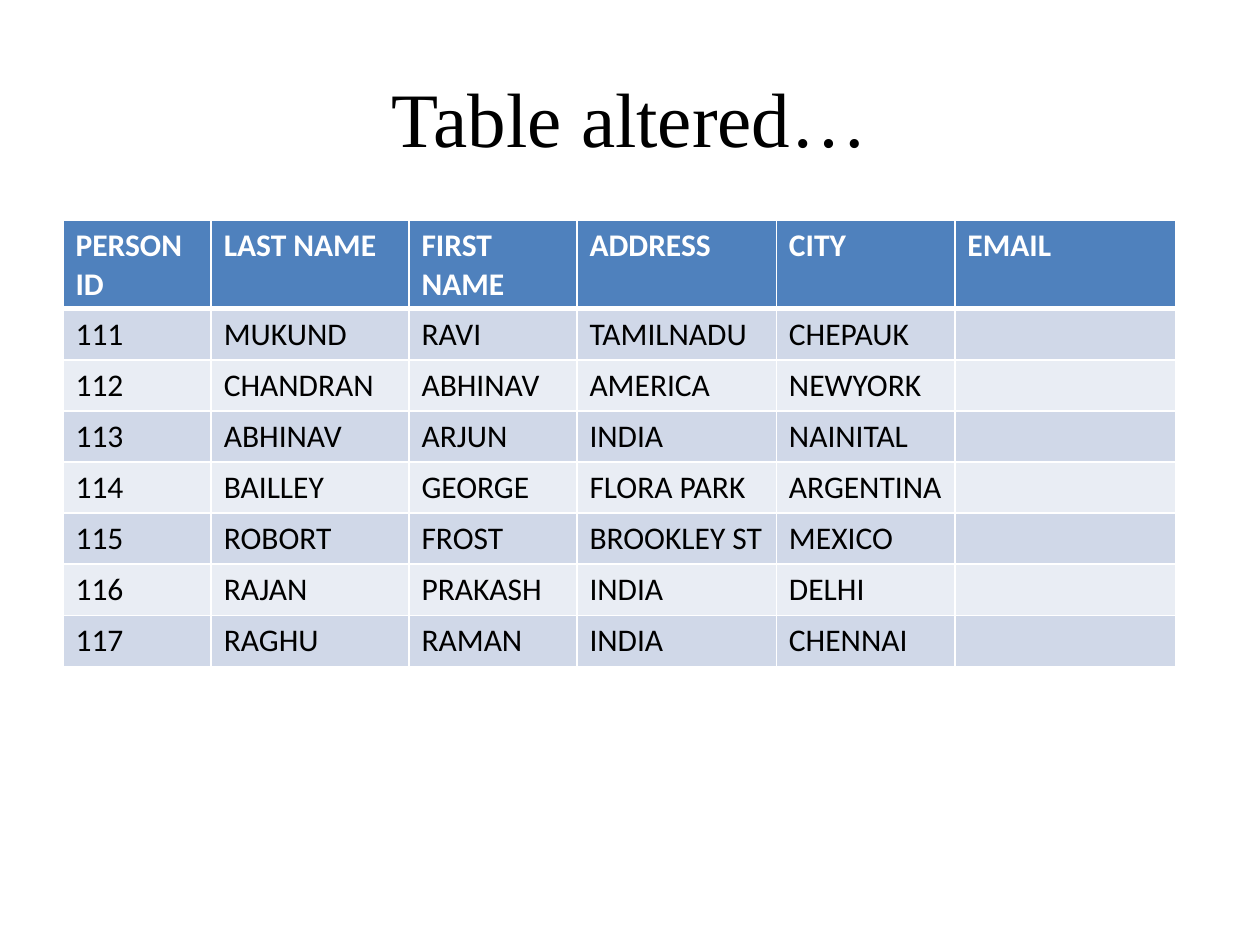
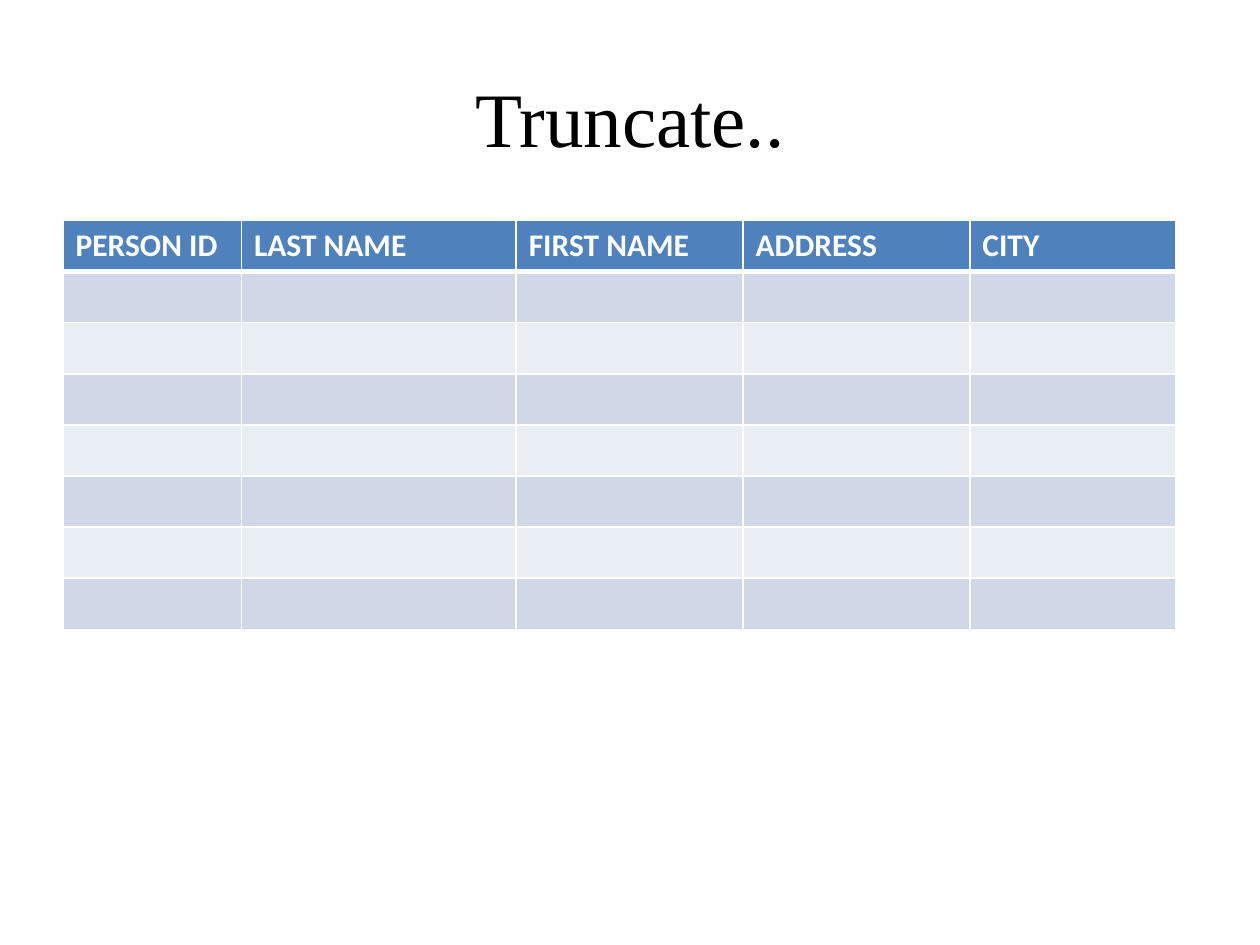
from dataclasses import dataclass

from lxml import etree
from pptx import Presentation
from pptx.dml.color import RGBColor
from pptx.enum import text
from pptx.oxml import ns
from pptx.util import Pt


@dataclass(frozen=True)
class Theme:
    ink: str = "000000"
    white: str = "FFFFFF"
    head: str = "4F81BD"
    bands: tuple = ("D0D8E8", "E9EDF4")
    serif: str = "Times New Roman"
    sans: str = "Calibri"
    big: int = 44
    body: int = 18
    thin: int = 1
    thick: int = 3


THEME = Theme()
LEFT, TOP, ROW = 36, 126, 29.2

# Table contents
HEADS = ["PERSON ID", "LAST NAME", "FIRST NAME", "ADDRESS", "CITY"]
PEOPLE = [
    ["111", "MUKUND", "RAVI", "TAMILNADU", "CHEPAUK", ""],
    ["112", "CHANDRAN", "ABHINAV", "AMERICA", "NEWYORK", ""],
    ["113", "ABHINAV", "ARJUN", "INDIA", "NAINITAL", ""],
    ["114", "BAILLEY", "GEORGE", "FLORA PARK", "ARGENTINA", ""],
    ["115", "ROBORT", "FROST", "BROOKLEY ST", "MEXICO", ""],
    ["116", "RAJAN", "PRAKASH", "INDIA", "DELHI", ""],
    ["117", "RAGHU", "RAMAN", "INDIA", "CHENNAI", ""],
]


def style(para, color, **form):
    """Write font values on each run of a paragraph."""
    for run in para.runs:
        for key, value in form.items():
            setattr(run.font, key, value)
        run.font.color.rgb = RGBColor.from_string(color)


def title(slide, words):
    box = slide.shapes.add_textbox(Pt(36), Pt(21.6), Pt(648), Pt(90))
    frame = box.text_frame
    frame.word_wrap = True
    frame.vertical_anchor = text.MSO_ANCHOR.MIDDLE
    para = frame.paragraphs[0]
    para.text = words
    para.alignment = text.PP_ALIGN.CENTER
    style(para, THEME.ink, name=THEME.serif, size=Pt(THEME.big))


def border(cell, sides):
    """Draw white cell edges; sides maps L, R, T, B to widths."""
    props = cell._tc.get_or_add_tcPr()
    for side, width in sides.items():
        line = etree.SubElement(props, ns.qn(f"a:ln{side}"), w=str(Pt(width)))
        fill = etree.SubElement(line, ns.qn("a:solidFill"))
        etree.SubElement(fill, ns.qn("a:srgbClr"), val=THEME.white)


def fill_cell(cell, words, row):
    # Only the edge under the header row is thick
    sides = dict.fromkeys("LRTB", THEME.thin)
    if row < 2:
        sides["B" if row == 0 else "T"] = THEME.thick
    border(cell, sides)
    head = row == 0
    back = THEME.head if head else THEME.bands[(row - 1) % 2]
    cell.fill.solid()
    cell.fill.fore_color.rgb = RGBColor.from_string(back)
    cell.text = words
    style(cell.text_frame.paragraphs[0], THEME.white if head else THEME.ink,
          name=THEME.sans, size=Pt(THEME.body), bold=head)


def grid(slide, widths, rows):
    table = slide.shapes.add_table(
        len(rows), len(widths), Pt(LEFT), Pt(TOP),
        Pt(sum(widths)), Pt(ROW * len(rows))).table
    for col, width in zip(table.columns, widths):
        col.width = Pt(width)
    for r, row in enumerate(rows):
        table.rows[r].height = Pt(ROW)
        for c, words in enumerate(row):
            fill_cell(table.cell(r, c), words, r)


def main():
    deck = Presentation()
    deck.slide_width, deck.slide_height = Pt(720), Pt(540)
    blank = deck.slide_layouts[6]

    # Table with the added column
    slide = deck.slides.add_slide(blank)
    title(slide, "Table altered…")
    grid(slide, [84.7, 113, 96, 114, 102, 126], [HEADS + ["EMAIL"]] + PEOPLE)

    # Emptied table
    slide = deck.slides.add_slide(blank)
    title(slide, "Truncate..")
    empty = [[""] * len(HEADS) for _ in PEOPLE]
    grid(slide, [102, 157, 129.6, 129.6, 117.5], [HEADS] + empty)

    deck.save("out.pptx")


if __name__ == "__main__":
    main()
